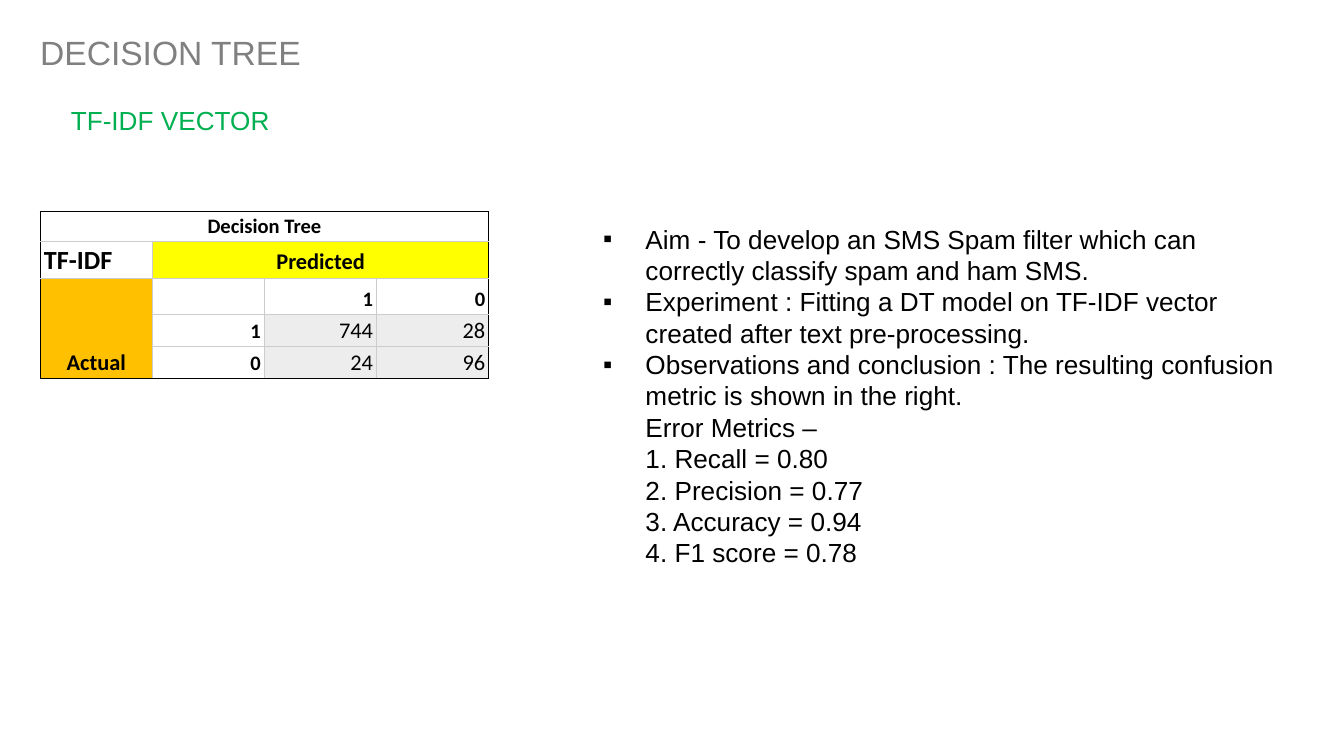
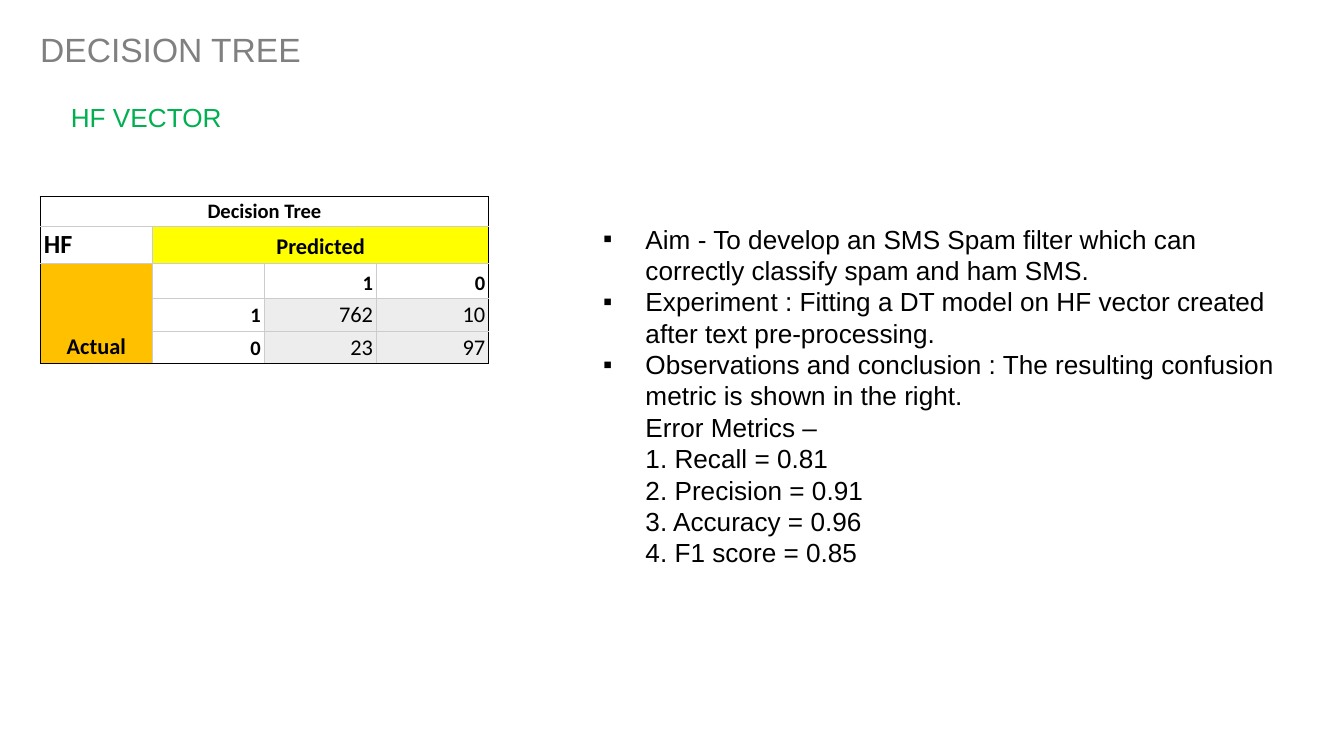
from lxml import etree
from pptx import Presentation
from pptx import util as u
from pptx.dml.color import RGBColor
from pptx.enum import text
from pptx.oxml.ns import qn

COLORS = {
    "title": "808080",
    "subtitle": "00B050",
    "ink": "000000",
    "grid": "CCCCCC",
    "predicted": "FFFF00",
    "actual": "FFC000",
    "counts": "EDEDED",
}
BODY_FONT, MATRIX_FONT = "Arial", "Calibri"
COLUMN_WIDTH = 2.12
ROW_HEIGHTS = (0.55, 0.68, 0.68, 0.59, 0.59)
INDENT = 0.8
LEFT, CENTER, RIGHT = (
    text.PP_ALIGN.LEFT, text.PP_ALIGN.CENTER, text.PP_ALIGN.RIGHT)

# Tops are in centimetres; counts are the rows of the confusion matrix.
EXPERIMENTS = [
    {"vector": "TF-IDF", "title_top": 0.48, "matrix_top": 4.0,
     "counts": ((744, 28), (24, 96)),
     "metrics": {"Recall": "0.80", "Precision": "0.77",
                 "Accuracy": "0.94", "F1 score": "0.78"}},
    {"vector": "HF", "title_top": 0.43, "matrix_top": 3.71,
     "counts": ((762, 10), (23, 97)),
     "metrics": {"Recall": "0.81", "Precision": "0.91",
                 "Accuracy": "0.96", "F1 score": "0.85"}},
]


def add_run(paragraph, words, size, color="ink", font=BODY_FONT, bold=False):
    run = paragraph.add_run()
    run.text = words
    run.font.size = u.Pt(size)
    run.font.name = font
    run.font.bold = bold
    run.font.color.rgb = RGBColor.from_string(COLORS[color])


def add_text_frame(slide, left, top, width, height, wrap=True):
    box = slide.shapes.add_textbox(
        u.Cm(left), u.Cm(top), u.Cm(width), u.Cm(height))
    box.text_frame.word_wrap = wrap
    return box.text_frame


def add_headings(slide, vector, top):
    subtitle = add_text_frame(slide, 1.09, top + 1.37, 4.3, 0.86, wrap=False)
    add_run(subtitle.paragraphs[0], f"{vector} VECTOR", 14, "subtitle")
    title = add_text_frame(slide, 0.51, top, 17.48, 1.02)
    add_run(title.paragraphs[0], "DECISION TREE", 18, "title")


def indent(paragraph, bullet=None):
    """Indent the paragraph, hanging the bullet to its left if there is one."""
    properties = paragraph._p.get_or_add_pPr()
    properties.set("marL", str(u.Cm(INDENT)))
    properties.set("indent", str(-u.Cm(INDENT) if bullet else 0))
    if bullet:
        color = etree.SubElement(properties, qn("a:buClr"))
        etree.SubElement(color, qn("a:srgbClr"), val=COLORS["ink"])
        etree.SubElement(properties, qn("a:buFont"), typeface=BODY_FONT)
        etree.SubElement(properties, qn("a:buChar"), char=bullet)


def add_findings(slide, vector, metrics):
    points = [
        "Aim - To develop an SMS Spam filter which can correctly classify "
        "spam and ham SMS.",
        f"Experiment : Fitting a DT model on {vector} vector created after "
        "text pre-processing.",
        "Observations and conclusion : The resulting confusion metric is "
        "shown in the right.",
    ]
    scores = [f"{number}. {name} = {score}"
              for number, (name, score) in enumerate(metrics.items(), 1)]
    lines = [(point, "▪") for point in points]
    lines += [(line, None) for line in ["Error Metrics –", *scores]]

    findings = add_text_frame(slide, 11.15, 4.09, 13.51, 7.44)
    for index, (line, bullet) in enumerate(lines):
        paragraph = (findings.add_paragraph() if index
                     else findings.paragraphs[0])
        indent(paragraph, bullet)
        add_run(paragraph, line, 14)


def set_borders(cell, outer_edges):
    properties = cell._tc.get_or_add_tcPr()
    for edge in "LRTB":
        line = etree.SubElement(properties, qn(f"a:ln{edge}"),
                                w=str(u.Pt(0.6)))
        fill = etree.SubElement(line, qn("a:solidFill"))
        color = COLORS["ink" if edge in outer_edges else "grid"]
        etree.SubElement(fill, qn("a:srgbClr"), val=color)


def style_cell(cell, outer_edges, fill):
    cell.vertical_anchor = text.MSO_ANCHOR.BOTTOM
    cell.margin_left = cell.margin_right = u.Cm(0.07)
    cell.margin_top = cell.margin_bottom = u.Cm(0.05)
    set_borders(cell, outer_edges)
    if fill:
        cell.fill.solid()
        cell.fill.fore_color.rgb = RGBColor.from_string(COLORS[fill])
    else:
        cell.fill.background()


def write_cell(cell, words, size, align, bold=True):
    paragraph = cell.text_frame.paragraphs[0]
    paragraph.alignment = align
    add_run(paragraph, str(words), size, font=MATRIX_FONT, bold=bold)


def matrix_fill(row, column):
    if row == 1 and column > 0:
        return "predicted"
    if row > 1 and column == 0:
        return "actual"
    if row > 2 and column > 1:
        return "counts"
    return None


def add_confusion_matrix(slide, vector, counts, top):
    rows, columns = len(ROW_HEIGHTS), 4
    matrix = slide.shapes.add_table(
        rows, columns, u.Cm(0.76), u.Cm(top),
        u.Cm(columns * COLUMN_WIDTH), u.Cm(sum(ROW_HEIGHTS))).table
    matrix.first_row = matrix.horz_banding = False
    for column in matrix.columns:
        column.width = u.Cm(COLUMN_WIDTH)
    for row, height in zip(matrix.rows, ROW_HEIGHTS):
        row.height = u.Cm(height)

    for first, last in (((0, 0), (0, 3)), ((1, 1), (1, 3)), ((2, 0), (4, 0))):
        matrix.cell(*first).merge(matrix.cell(*last))
    for row in range(rows):
        for column in range(columns):
            cell = matrix.cell(row, column)
            edges = {"L": column == 0, "T": row == 0,
                     "R": column + cell.span_width == columns,
                     "B": row + cell.span_height == rows}
            style_cell(cell, [edge for edge, outer in edges.items() if outer],
                       matrix_fill(row, column))

    write_cell(matrix.cell(0, 0), "Decision Tree", 11, CENTER)
    write_cell(matrix.cell(1, 0), vector, 14, LEFT)
    write_cell(matrix.cell(1, 1), "Predicted", 12, CENTER)
    write_cell(matrix.cell(2, 0), "Actual", 12, CENTER)
    corner = matrix.cell(2, 1).text_frame.paragraphs[0]
    etree.SubElement(corner._p, qn("a:endParaRPr"), sz="1100")
    for offset, label in enumerate((1, 0)):
        write_cell(matrix.cell(2, 2 + offset), label, 11, RIGHT)
        write_cell(matrix.cell(3 + offset, 1), label, 11, RIGHT)
        for column, count in enumerate(counts[offset], 2):
            write_cell(matrix.cell(3 + offset, column), count, 12, RIGHT,
                       bold=False)


def main():
    deck = Presentation()
    deck.slide_width, deck.slide_height = u.Cm(25.4), u.Cm(14.29)
    for experiment in EXPERIMENTS:
        slide = deck.slides.add_slide(deck.slide_layouts[6])
        vector = experiment["vector"]
        add_headings(slide, vector, experiment["title_top"])
        add_confusion_matrix(slide, vector, experiment["counts"],
                             experiment["matrix_top"])
        add_findings(slide, vector, experiment["metrics"])
    deck.save("out.pptx")


if __name__ == "__main__":
    main()
